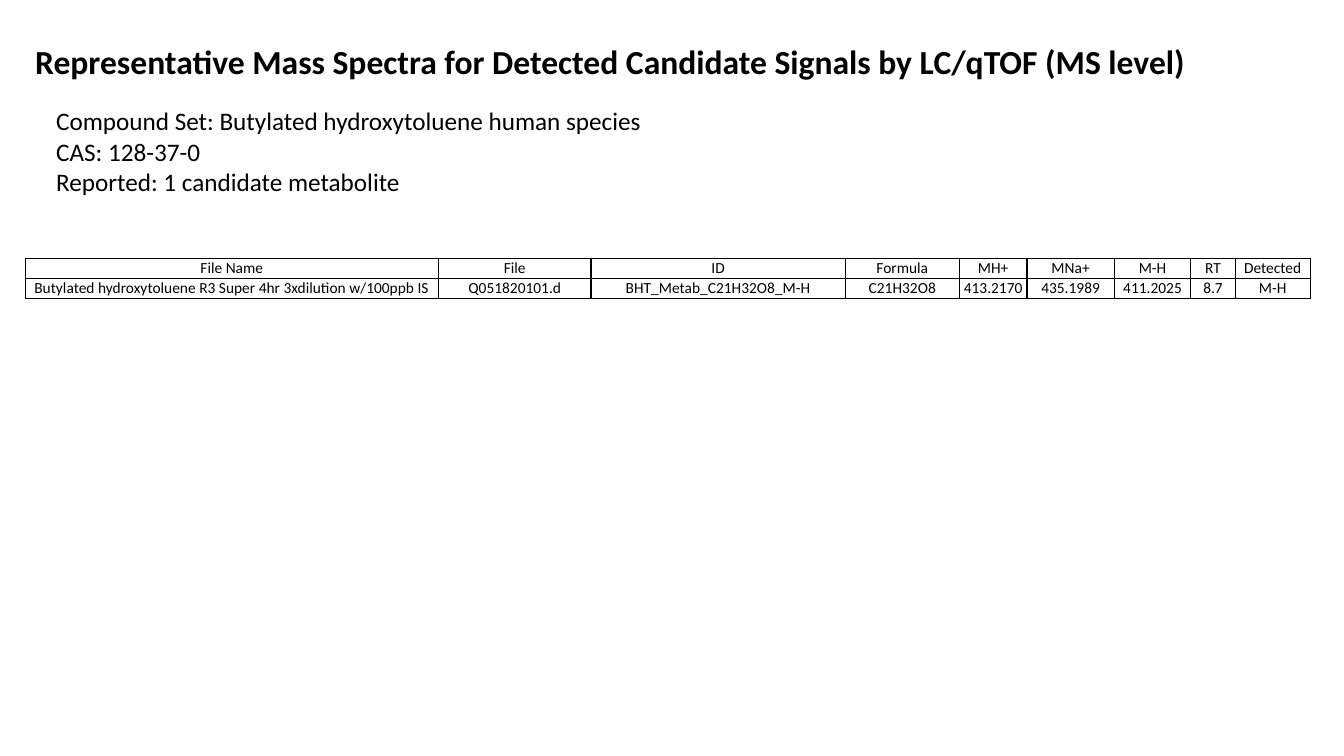
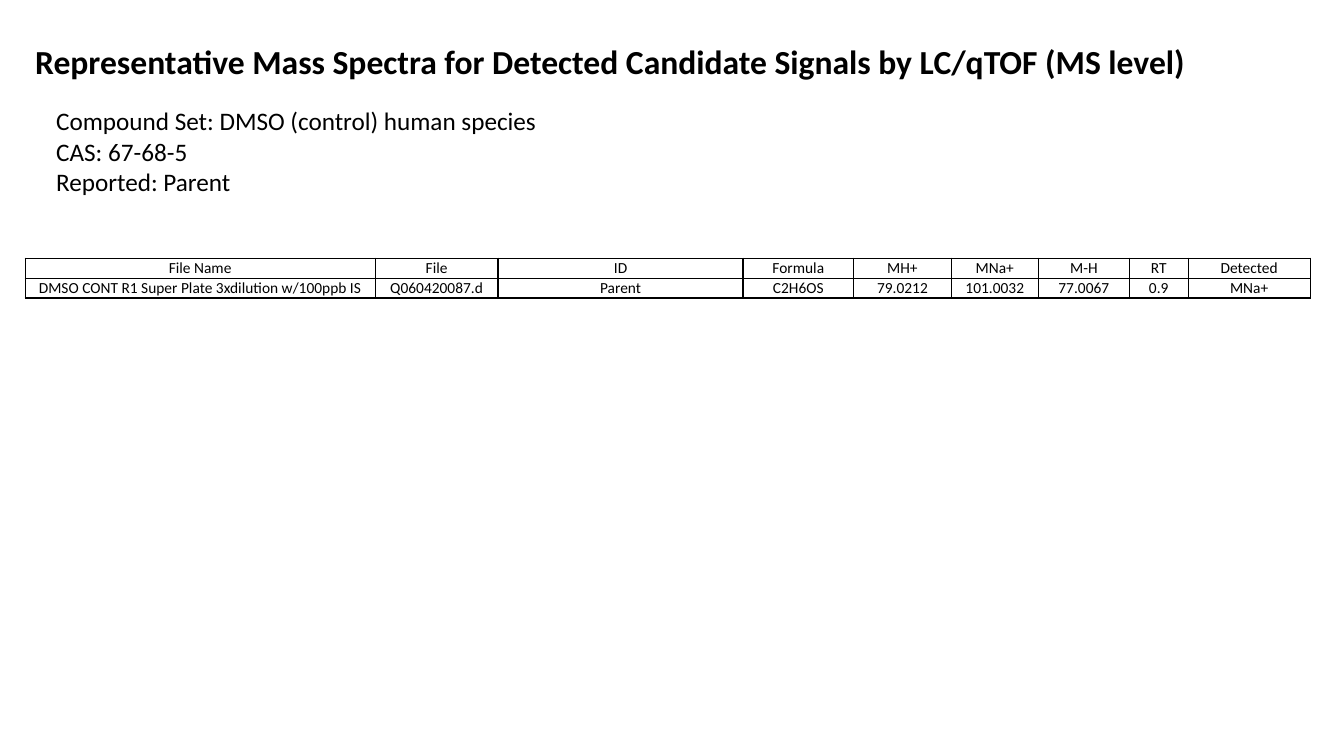
from lxml.etree import SubElement
from pptx import Presentation
from pptx.dml.color import RGBColor
from pptx.enum.text import MSO_AUTO_SIZE as AutoSize
from pptx.enum.text import MSO_VERTICAL_ANCHOR as Anchor
from pptx.enum.text import PP_PARAGRAPH_ALIGNMENT as Align
from pptx.oxml import parse_xml
from pptx.oxml.ns import nsdecls, qn
from pptx.util import Pt

# Shared style and wording
COLOURS = {"text": "000000", "border": "000000"}
FONT = "Calibri"
TITLE = ("Representative Mass Spectra for Detected Candidate Signals "
         "by LC/qTOF (MS level)")
HEADERS = ["File Name", "File", "ID", "Formula", "MH+", "MNa+", "M-H", "RT", "Detected"]
LEFT, CONTENT_WIDTH = 18, 918
TABLE_TOP, ROW_HEIGHT = 184.5, 14.2
MIDDLE_CELL = {
    "vertical_anchor": Anchor.MIDDLE, "margin_left": 0, "margin_right": 0,
    "margin_top": 0, "margin_bottom": 0,
}
BOTTOM_CELL = {
    "vertical_anchor": Anchor.BOTTOM, "margin_left": Pt(0.7), "margin_right": Pt(0.7),
    "margin_top": Pt(0.7), "margin_bottom": 0,
}

# What differs between the slides
COMPOUNDS = [
    {
        "summary": ["Compound Set: Butylated hydroxytoluene human species",
                    "CAS: 128-37-0",
                    "Reported: 1 candidate metabolite"],
        "widths": [295.2, 109, 181.5, 81.7, 48.2, 62.4, 54.7, 31.7, 53.6],
        "values": ["Butylated hydroxytoluene R3 Super 4hr 3xdilution w/100ppb IS",
                   "Q051820101.d", "BHT_Metab_C21H32O8_M-H", "C21H32O8",
                   "413.2170", "435.1989", "411.2025", "8.7", "M-H"],
    },
    {
        "summary": ["Compound Set: DMSO (control) human species",
                    "CAS: 67-68-5",
                    "Reported: Parent"],
        "widths": [250, 87.8, 175, 79, 69.8, 62.2, 65, 42, 87.2],
        "values": ["DMSO CONT R1 Super Plate 3xdilution w/100ppb IS",
                   "Q060420087.d", "Parent", "C2H6OS",
                   "79.0212", "101.0032", "77.0067", "0.9", "MNa+"],
    },
]


def set_attributes(target, values):
    for name, value in values.items():
        setattr(target, name, value)


class Deck:
    """Holds the style and the current slide."""

    def __init__(self):
        self.presentation = Presentation()
        set_attributes(self.presentation,
                       {"slide_width": Pt(960), "slide_height": Pt(540)})
        self.slide = None

    def new_slide(self):
        layout = self.presentation.slide_layouts[6]
        self.slide = self.presentation.slides.add_slide(layout)

    def fill_text(self, frame, lines, size, bold=False, align=Align.LEFT):
        for index, line in enumerate(lines):
            paragraph = frame.add_paragraph() if index else frame.paragraphs[0]
            paragraph.alignment = align
            run = paragraph.add_run()
            run.text = line
            set_attributes(run.font, {"name": FONT, "size": Pt(size), "bold": bold})
            run.font.color.rgb = RGBColor.from_string(COLOURS["text"])

    def text(self, lines, left, top, width, height, size, bold=False):
        box = self.slide.shapes.add_textbox(Pt(left), Pt(top), Pt(width), Pt(height))
        set_attributes(box.text_frame, {"word_wrap": True,
                                        "auto_size": AutoSize.SHAPE_TO_FIT_TEXT})
        self.fill_text(box.text_frame, lines, size, bold)

    def border(self, cell):
        properties = cell._tc.get_or_add_tcPr()
        for index, side in enumerate(("lnL", "lnR", "lnT", "lnB")):
            line = parse_xml(f'<a:{side} {nsdecls("a")} w="{Pt(1)}"/>')
            fill = SubElement(line, qn("a:solidFill"))
            SubElement(fill, qn("a:srgbClr"), val=COLOURS["border"])
            properties.insert(index, line)

    def table(self, rows, widths):
        frame = self.slide.shapes.add_table(
            len(rows), len(widths), Pt(LEFT), Pt(TABLE_TOP),
            Pt(CONTENT_WIDTH), Pt(ROW_HEIGHT * len(rows)))
        table = frame.table
        set_attributes(table, {"first_row": False, "horz_banding": False})
        for column, width in zip(table.columns, widths):
            column.width = Pt(width)
        for row_index, values in enumerate(rows):
            table.rows[row_index].height = Pt(ROW_HEIGHT)
            for column_index, value in enumerate(values):
                cell = table.cell(row_index, column_index)
                is_middle = row_index == 0 or column_index == len(values) - 1
                set_attributes(cell, MIDDLE_CELL if is_middle else BOTTOM_CELL)
                cell.fill.background()
                self.border(cell)
                self.fill_text(cell.text_frame, [value], 11, align=Align.CENTER)


def main():
    deck = Deck()
    for compound in COMPOUNDS:
        deck.new_slide()
        # Results table
        deck.table([HEADERS, compound["values"]], compound["widths"])
        # Compound summary
        deck.text(compound["summary"], 33, 72, 536, 94, size=18)
        # Title
        deck.text([TITLE], LEFT, 26, CONTENT_WIDTH, 36, size=24, bold=True)
    deck.presentation.save("out.pptx")


if __name__ == "__main__":
    main()
